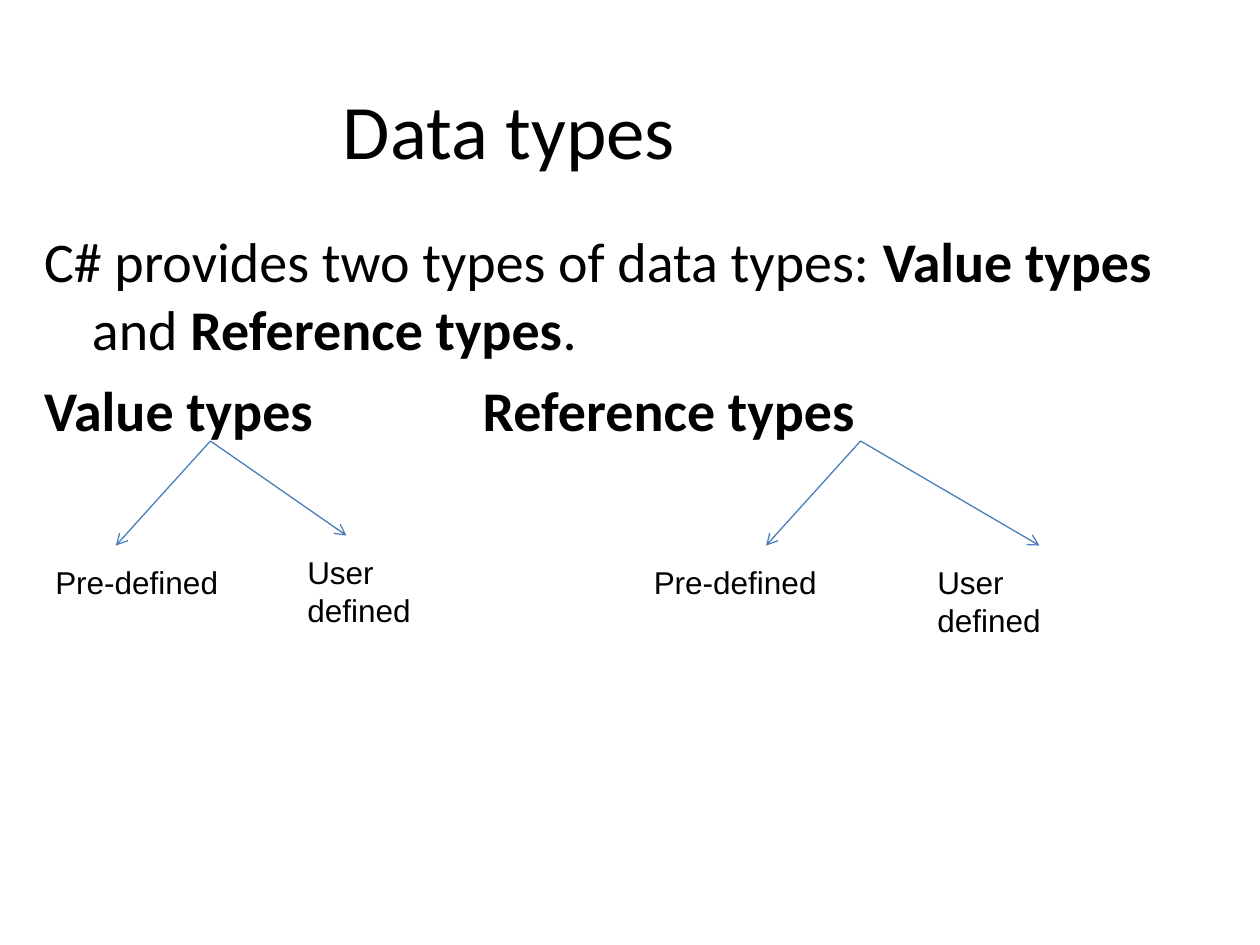
from lxml import etree
from pptx import Presentation
from pptx import util as u
from pptx.dml.color import RGBColor
from pptx.enum import shapes, text
from pptx.oxml import ns

PX = u.Inches(1) // 100  # 100 px to the inch
BLACK = RGBColor(0x00, 0x00, 0x00)
WHITE = RGBColor(0xFF, 0xFF, 0xFF)
BLUE = RGBColor(0x4A, 0x7E, 0xBB)

INTRO = [
    [("C# provides two types of data types: ", False), ("Value types", True),
     (" and ", False), ("Reference types", True), (".", False)],
    [("Value types \t\t\t Reference types", True)],
]
# Apex of each branching, then per branch: label, arrow (dx, dy),
# label offset from the apex and label width
BRANCHINGS = [
    ((167, 350), [("Pre-defined", (-75, 83), -133, 149),
                  ("User defined", (108, 75), 67, 161)]),
    ((683, 350), [("Pre-defined", (-75, 83), -174, 149),
                  ("User defined", (142, 83), 51, 161)]),
]
LABEL_GAP = 9
LABEL_HEIGHT = 40


def place(shape, left, top, width, height):
    shape.left, shape.top = left * PX, top * PX
    shape.width, shape.height = width * PX, height * PX


def style_run(run, font, size, bold=False):
    run.font.name = font
    run.font.size = u.Pt(size)
    run.font.bold = bold
    run.font.color.rgb = BLACK


def add_child(parent, tag, **attributes):
    return etree.SubElement(parent, ns.qn(tag), attributes)


def hang_without_bullet(paragraph):
    """Hanging indent, no bullet, and a tab stop at every inch."""
    props = paragraph._p.get_or_add_pPr()
    props.set("marL", str(38 * PX))
    props.set("indent", str(-38 * PX))
    add_child(props, "a:buNone")
    stops = add_child(props, "a:tabLst")
    for inch in range(8):
        add_child(stops, "a:tab", pos=str(u.Inches(inch)), algn="l")


def fill_title(title, box):
    place(title, *box)
    frame = title.text_frame
    frame.text = "Data types"
    frame.vertical_anchor = text.MSO_ANCHOR.MIDDLE
    frame.paragraphs[0].alignment = text.PP_ALIGN.CENTER
    style_run(frame.paragraphs[0].runs[0], "Calibri", 44)


def fill_intro(body, box):
    place(body, *box)
    frame = body.text_frame
    frame.auto_size = text.MSO_AUTO_SIZE.NONE
    for index, pieces in enumerate(INTRO):
        paragraph = frame.add_paragraph() if index else frame.paragraphs[0]
        paragraph.space_before = u.Pt(8)
        hang_without_bullet(paragraph)
        for words, bold in pieces:
            run = paragraph.add_run()
            run.text = words
            style_run(run, "Calibri", 32, bold)


def add_arrow(slide, start, end):
    arrow = slide.shapes.add_connector(
        shapes.MSO_CONNECTOR.STRAIGHT, *(length * PX for length in start + end))
    arrow.line.color.rgb = BLUE
    arrow.line.width = u.Pt(0.75)
    add_child(arrow.line._get_or_add_ln(), "a:tailEnd", type="arrow")
    add_child(arrow._element.spPr, "a:effectLst")


def add_label(slide, words, left, top, width):
    label = slide.shapes.add_textbox(0, 0, 0, 0)
    place(label, left, top, width, LABEL_HEIGHT)
    frame = label.text_frame
    frame.text = words
    frame.word_wrap = False
    frame.auto_size = text.MSO_AUTO_SIZE.SHAPE_TO_FIT_TEXT
    style_run(frame.paragraphs[0].runs[0], "Arial", 18)


def add_branching(slide, apex, branches):
    x, y = apex
    for words, (dx, dy), label_dx, width in branches:
        add_arrow(slide, apex, (x + dx, y + dy))
        add_label(slide, words, x + label_dx, y + dy + LABEL_GAP, width)


def main():
    deck = Presentation()
    deck.slide_width, deck.slide_height = 1000 * PX, 750 * PX
    slide = deck.slides.add_slide(deck.slide_layouts[1])
    slide.background.fill.solid()
    slide.background.fill.fore_color.rgb = WHITE
    fill_title(slide.shapes.title, (50, 50, 708, 105))
    fill_intro(slide.placeholders[1], (25, 175, 925, 495))
    for apex, branches in BRANCHINGS:
        add_branching(slide, apex, branches)
    deck.save("out.pptx")


if __name__ == "__main__":
    main()
